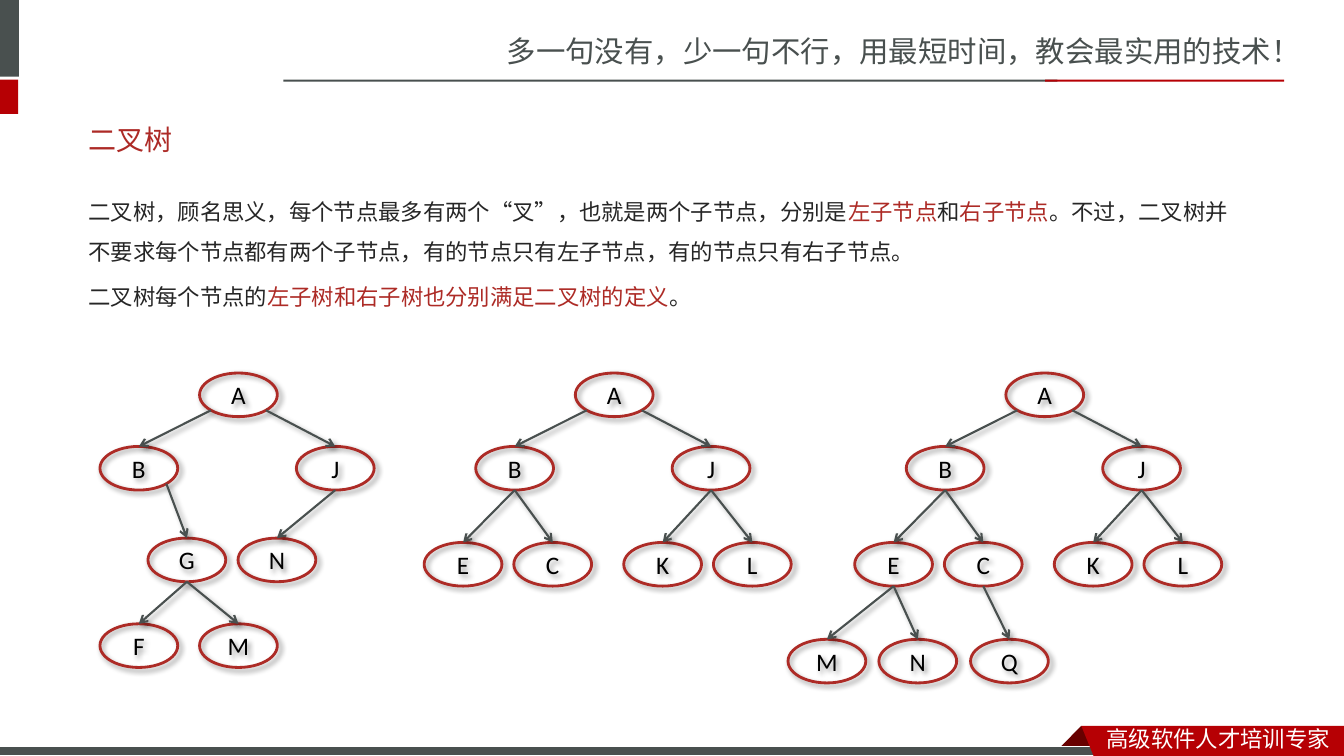
"""Builds a slide that introduces binary trees with three example diagrams."""
from dataclasses import dataclass

from lxml import etree
from pptx import Presentation
from pptx.dml.color import RGBColor
from pptx.enum.shapes import MSO_CONNECTOR, MSO_SHAPE
from pptx.enum.text import MSO_ANCHOR, PP_ALIGN
from pptx.oxml import parse_xml
from pptx.oxml.ns import nsdecls, qn
from pptx.util import Cm, Pt

STRAIGHT = MSO_CONNECTOR.STRAIGHT
RECTANGLE, OVAL = MSO_SHAPE.RECTANGLE, MSO_SHAPE.OVAL
TOP, MIDDLE = MSO_ANCHOR.TOP, MSO_ANCHOR.MIDDLE
LEFT, CENTER = PP_ALIGN.LEFT, PP_ALIGN.CENTER


@dataclass(frozen=True)
class Theme:
    """Colours, fonts and sizes of the slide."""
    grey: str = "49504F"
    red: str = "B60004"
    dark_red: str = "680000"
    accent: str = "AD2B26"
    title: str = "AD2A26"
    ink: str = "262626"
    black: str = "000000"
    white: str = "FFFFFF"
    latin: str = "Calibri"
    banner_font: str = "Noto Sans CJK SC"
    body_font: str = "Noto Sans CJK JP"
    banner_size: int = 21
    title_size: int = 20
    node_size: int = 18
    body_size: int = 16


THEME = Theme()
SLIDE_SIZE = (33.87, 19.05)
NODE_WIDTH, NODE_HEIGHT = 1.96, 1.1
DIAGONAL = 0.5 ** 0.5

SLOGAN = "多一句没有，少一句不行，用最短时间，教会最实用的技术！"
FOOTER = "高级软件人才培训专家"
TITLE = "二叉树"
BODY = [
    [("二叉树，顾名思义，每个节点最多有两个“叉”，也就是两个子节点，分别是", THEME.ink),
     ("左子节点", THEME.accent),
     ("和", THEME.ink),
     ("右子节点", THEME.accent),
     ("。不过，二叉树并不要求每个节点都有两个子节点，有的节点只有左子节点，有的节点只有右子节点。", THEME.ink)],
    [("二叉树每个节点的", THEME.ink),
     ("左子树和右子树也分别满足二叉树的定义", THEME.accent),
     ("。", THEME.ink)],
]

BARS = [
    (0, 0, 0.48, 1.93, THEME.grey),
    (0, 2.01, 0.46, 0.86, THEME.red),
    (7.14, 2.01, 19.51, 0.05, THEME.grey),
    (26.34, 2.01, 6.02, 0.05, THEME.red),
]
FOOTER_BAR = (0, 18.82, 27.91, 0.23, THEME.grey)
RIBBON_FOLD = [(27.25, 18.29), (27.81, 18.85), (27.79, 18.87), (26.72, 18.87), (26.7, 18.85)]
RIBBON = [(27.25, 18.29), (33.87, 18.29), (33.87, 19.05), (27.56, 19.05)]

# Node: offset from the root, level
ROOT_NODES = {"A": (0, 0), "B": (-2.51, 1), "J": (2.44, 1)}
FULL_NODES = ROOT_NODES | {"E": (-3.81, 2), "C": (-1.55, 2), "K": (1.22, 2), "L": (3.48, 2)}
ROOT_EDGES = [("A", "B", -1), ("A", "J", 1)]
FULL_EDGES = ROOT_EDGES + [("B", "E", 0), ("B", "C", 0), ("J", "K", 0), ("J", "L", 0)]
TREES = [
    (15.48, (9.4, 11.25, 13.67), FULL_NODES, FULL_EDGES),
    (26.33, (9.4, 11.25, 13.67, 16.11),
     FULL_NODES | {"M": (-5.49, 3), "N": (-3.2, 3), "Q": (-0.89, 3)},
     FULL_EDGES + [("E", "M", 0), ("E", "N", 0), ("C", "Q", 0)]),
    (6.01, (9.4, 11.25, 13.56, 15.72),
     ROOT_NODES | {"G": (-1.3, 2), "N": (0.97, 2), "F": (-2.51, 3), "M": (0, 3)},
     ROOT_EDGES + [("B", "G", 1), ("J", "N", 0), ("G", "F", 0), ("G", "M", 0)]),
]


def rgb(colour):
    """Return a colour object for a hex value."""
    return RGBColor.from_string(colour)


def paint(shape, colour):
    """Give a shape a flat fill and no outline."""
    shape.shadow.inherit = False
    shape.fill.solid()
    shape.fill.fore_color.rgb = rgb(colour)
    shape.line.fill.background()


def add_bar(page, left, top, width, height, colour):
    """Draw a flat rectangle."""
    bar = page.shapes.add_shape(RECTANGLE, Cm(left), Cm(top), Cm(width), Cm(height))
    paint(bar, colour)
    return bar


def add_outline(page, points, colour):
    """Draw a flat polygon."""
    start, *others = [(Cm(x), Cm(y)) for x, y in points]
    builder = page.shapes.build_freeform(*start)
    builder.add_line_segments(others, close=True)
    paint(builder.convert_to_shape(), colour)


def set_font(font, name, size, colour=None):
    """Set typeface, size and optionally colour."""
    font.name, font.size = name, Pt(size)
    if colour:
        font.color.rgb = rgb(colour)


def add_text(page, place, paragraphs, name, size, anchor=TOP, spacing=1.0):
    """Write paragraphs of coloured spans in a text box."""
    box = page.shapes.add_textbox(*map(Cm, place))
    frame = box.text_frame
    frame.word_wrap, frame.vertical_anchor = True, anchor
    for index, spans in enumerate(paragraphs):
        para = frame.add_paragraph() if index else frame.paragraphs[0]
        para.alignment, para.line_spacing = LEFT, spacing
        if index:
            para.space_before = Pt(3.2)
        set_font(para.font, name, size)
        for text, colour in spans:
            span = para.add_run()
            span.text = text
            span.font.color.rgb = rgb(colour)


def add_shadow(shape):
    """Give a shape or connector a soft shadow to the lower right."""
    shape._element.spPr.append(parse_xml(
        f'<a:effectLst {nsdecls("a")}><a:outerShdw blurRad="50800" dist="38100" dir="2700000" '
        f'algn="tl" rotWithShape="0"><a:srgbClr val="{THEME.black}"><a:alpha val="40000"/>'
        '</a:srgbClr></a:outerShdw></a:effectLst>'))


def add_node(group, label, centre, top):
    """Draw one tree node."""
    node = group.shapes.add_shape(
        OVAL, Cm(centre - NODE_WIDTH / 2), Cm(top), Cm(NODE_WIDTH), Cm(NODE_HEIGHT))
    node.fill.background()
    node.line.color.rgb, node.line.width = rgb(THEME.accent), Pt(2)
    add_shadow(node)
    node.text_frame.vertical_anchor = MIDDLE
    para = node.text_frame.paragraphs[0]
    para.text, para.alignment = label, CENTER
    set_font(para.font, THEME.latin, THEME.node_size, THEME.black)


def add_edge(group, parent, child, side):
    """Draw an arrow from the lower rim of a parent to the top of a child."""
    drop = DIAGONAL if side else 1
    start_x = parent[0] + side * DIAGONAL * NODE_WIDTH / 2
    start_y = parent[1] + (1 + drop) * NODE_HEIGHT / 2
    edge = group.shapes.add_connector(STRAIGHT, *map(Cm, (start_x, start_y, *child)))
    edge.line.color.rgb, edge.line.width = rgb(THEME.grey), Pt(1.5)
    etree.SubElement(edge.line._get_or_add_ln(), qn("a:tailEnd"), type="arrow")
    add_shadow(edge)


def add_tree(page, root, tops, nodes, edges):
    """Draw a tree as one group."""
    group = page.shapes.add_group_shape()
    places = {label: (root + offset, tops[level]) for label, (offset, level) in nodes.items()}
    for label, place in places.items():
        add_node(group, label, *place)
    for parent, child, side in edges:
        add_edge(group, places[parent], places[child], side)


def main():
    """Build and save the deck."""
    deck = Presentation()
    deck.slide_width, deck.slide_height = map(Cm, SLIDE_SIZE)
    page = deck.slides.add_slide(deck.slide_layouts[6])
    add_text(page, (12.52, 0.71, 21.35, 1.19), [[(SLOGAN, THEME.grey)]],
             THEME.banner_font, THEME.banner_size)
    for bar in BARS:
        add_bar(page, *bar)
    add_outline(page, RIBBON_FOLD, THEME.dark_red)
    footer_bar = add_bar(page, *FOOTER_BAR)
    footer_bar.line.color.rgb, footer_bar.line.width = rgb(THEME.white), Pt(0.75)
    add_outline(page, RIBBON, THEME.red)
    add_text(page, (27.64, 18.16, 6.23, 0.89), [[(FOOTER, THEME.white)]],
             THEME.banner_font, THEME.body_size)
    add_text(page, (1.98, 2.79, 29.72, 1.45), [[(TITLE, THEME.title)]],
             THEME.latin, THEME.title_size, MIDDLE)
    add_text(page, (1.98, 4.52, 29.72, 3.68), BODY,
             THEME.body_font, THEME.body_size, spacing=1.5)
    for tree in TREES:
        add_tree(page, *tree)
    deck.save("out.pptx")


if __name__ == "__main__":
    main()
